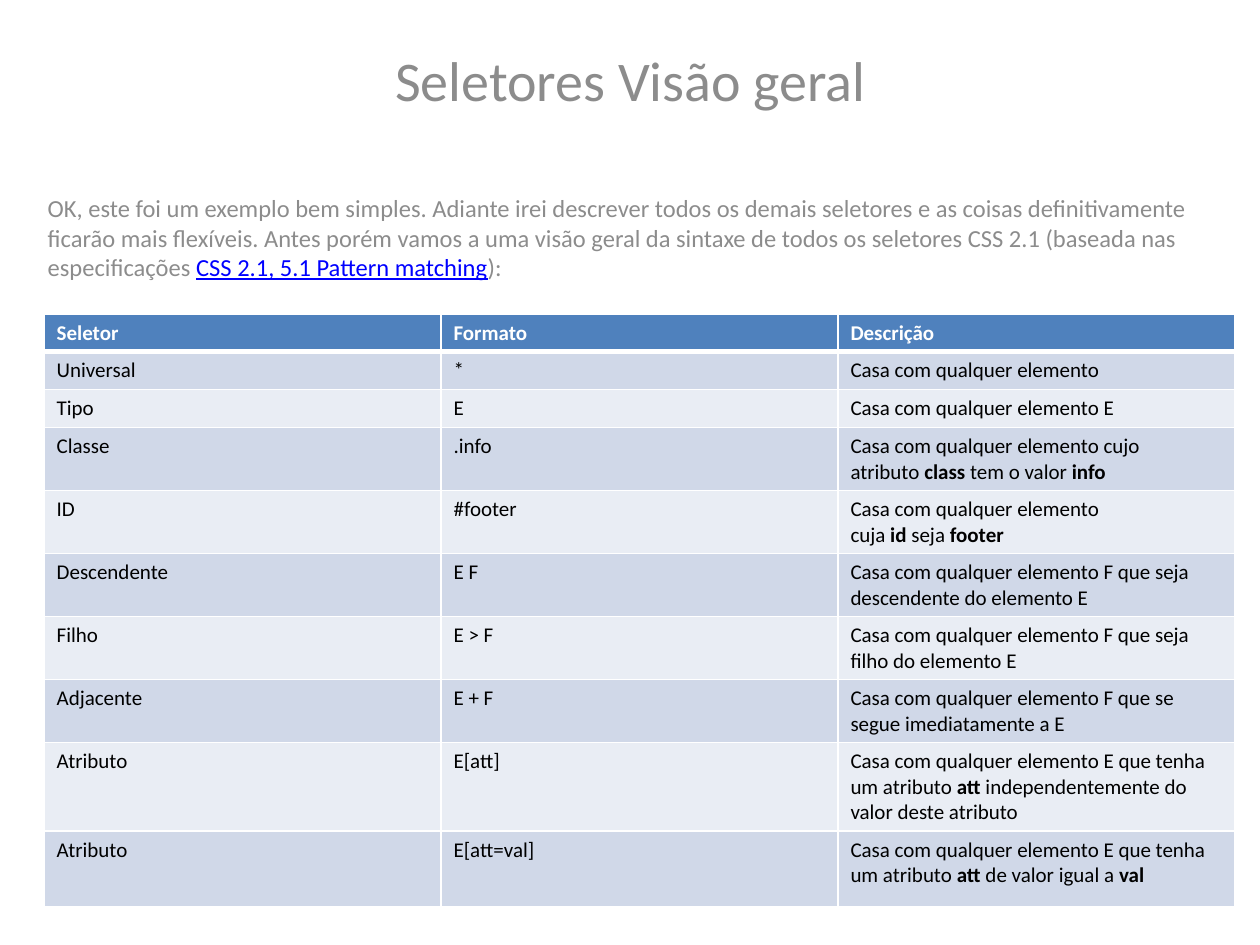
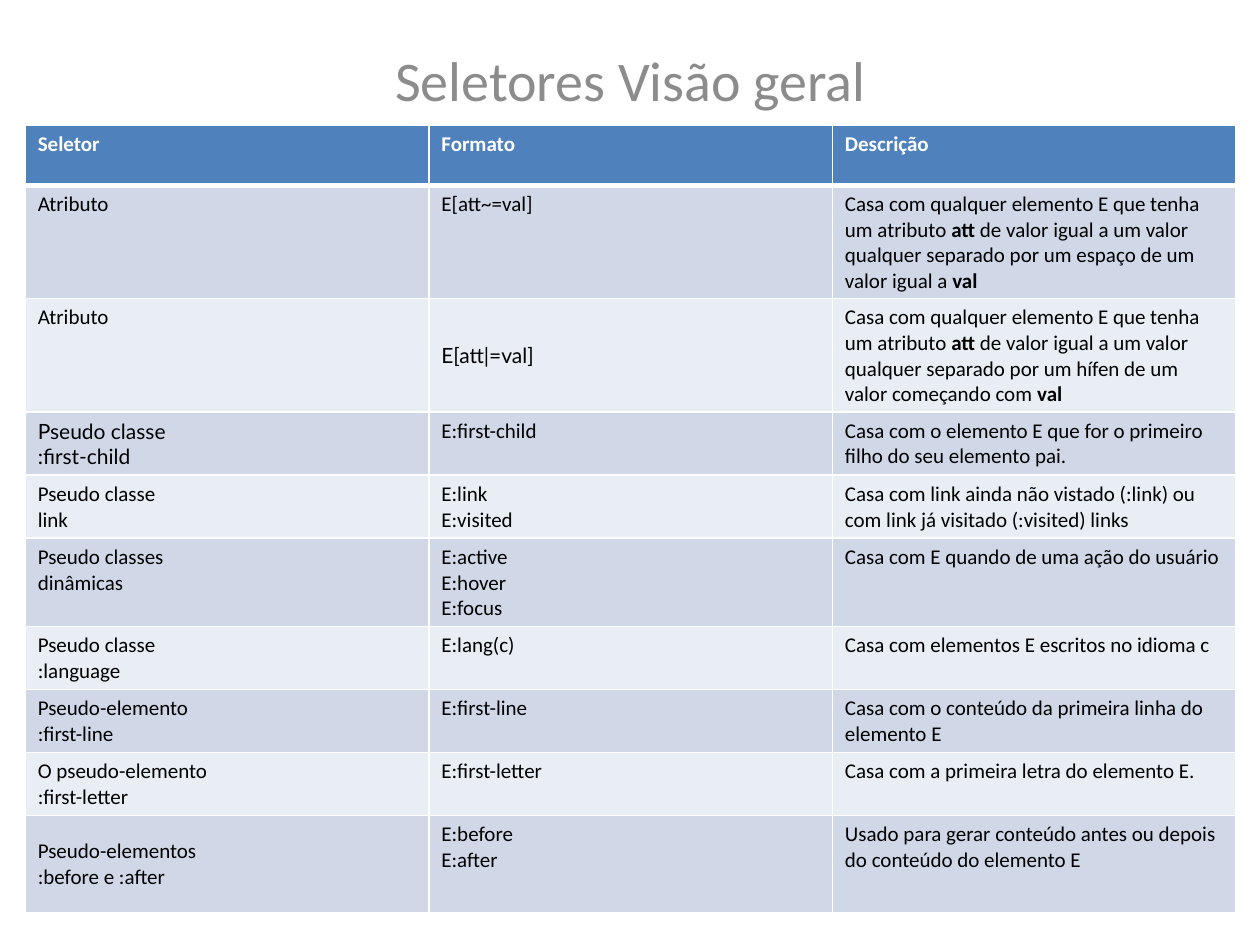
from itertools import product

from lxml import etree
from pptx import Presentation
from pptx import util as u
from pptx.dml import color
from pptx.enum import text
from pptx.oxml import ns

# ---- Content: **bold**, line breaks as \n ----
TITLE = "Seletores Visão geral"
INTRO = [
    ("OK, este foi um exemplo bem simples. Adiante irei descrever todos os demais "
     "seletores e as coisas definitivamente ficarão mais flexíveis. Antes porém vamos "
     "a uma visão geral da sintaxe de todos os seletores CSS 2.1 (baseada nas "
     "especificações ", "intro"),
    ("CSS 2.1, 5.1 Pattern matching", "link"),
    ("):", "intro"),
]
HEADER = ("Seletor", "Formato", "Descrição")
BASIC_SELECTORS = [
    ("Universal", "*", "Casa com qualquer elemento"),
    ("Tipo", "E", "Casa com qualquer elemento E"),
    ("Classe", ".info",
     "Casa com qualquer elemento cujo atributo **class** tem o valor **info**"),
    ("ID", "#footer", "Casa com qualquer elemento cuja **id** seja **footer**"),
    ("Descendente", "E F",
     "Casa com qualquer elemento F que seja descendente do elemento E"),
    ("Filho", "E > F", "Casa com qualquer elemento F que seja filho do elemento E"),
    ("Adjacente", "E + F", "Casa com qualquer elemento F que se segue imediatamente a E"),
    ("Atributo", "E[att]", "Casa com qualquer elemento E que tenha um atributo **att** "
     "independentemente do valor deste atributo"),
    ("Atributo", "E[att=val]", "Casa com qualquer elemento E que tenha um atributo **att** "
     "de valor igual a **val**"),
]
ADVANCED_SELECTORS = [
    ("Atributo", "E[att~=val]", "Casa com qualquer elemento E que tenha um atributo **att** "
     "de valor igual a um valor qualquer separado por um espaço de um valor igual a **val**"),
    ("Atributo", "E[att|=val]", "Casa com qualquer elemento E que tenha um atributo **att** "
     "de valor igual a um valor qualquer separado por um hífen de um valor começando "
     "com **val**"),
    ("Pseudo classe\n:first-child", "E:first-child",
     "Casa com o elemento E que for o primeiro filho do seu elemento pai."),
    ("Pseudo classe\nlink", "E:link\nE:visited",
     "Casa com link ainda não vistado (:link) ou com link já visitado (:visited) links"),
    ("Pseudo classes\ndinâmicas", "E:active\nE:hover\nE:focus",
     "Casa com E quando de uma ação do usuário"),
    ("Pseudo classe\n:language", "E:lang(c)", "Casa com elementos E escritos no idioma c"),
    ("Pseudo-elemento\n:first-line", "E:first-line",
     "Casa com o conteúdo da primeira linha do elemento E"),
    ("O pseudo-elemento\n:first-letter", "E:first-letter",
     "Casa com a primeira letra do elemento E."),
    ("Pseudo-elementos\n:before e :after", "E:before\nE:after",
     "Usado para gerar conteúdo antes ou depois do conteúdo do elemento E"),
]
# Per slide: intro, table rows, left, top, width, row heights,
# cells centred vertically and cells in the alternative font
SLIDES = [
    dict(intro=INTRO, rows=BASIC_SELECTORS, place=(0.35, 2.49, 9.45),
         heights=[0.28] * 3 + [0.47] * 5 + [0.66, 0.6],
         centred={(7, 2)}, alternative=set()),
    dict(intro=[], rows=ADVANCED_SELECTORS, place=(0.2, 0.99, 9.61),
         heights=[0.48, 0.87, 0.87, 0.48, 0.48, 0.67, 0.48, 0.48, 0.48, 0.77],
         centred={(2, 1), (3, 0), (9, 0)}, alternative={(2, 1), (3, 0)}),
]

# ---- Theme ----
THEME = {
    "title": dict(size=u.Pt(32), name="Calibri", color="8C8C8C"),
    "intro": dict(size=u.Pt(14), name="Calibri", color="8C8C8C"),
    "link": dict(size=u.Pt(14), name="Calibri", color="0000FF", underline=True),
    "header": dict(size=u.Pt(12), name="Calibri", color="FFFFFF", bold=True),
    "cell": dict(size=u.Pt(12), name="Calibri", color="000000", bold=False),
    "alternative": dict(size=u.Pt(12), name="Lato", color="000000", bold=False),
    "header_fill": "4F81BD",
    "bands": ("E9EDF4", "D0D8E8"),
    "border": "FFFFFF",
}
NBSP = chr(160)


def add_span(para, words, style, **changes):
    span = para.add_run()
    span.text = words
    for key, value in {**THEME[style], **changes}.items():
        if key == "color":
            span.font.color.rgb = color.RGBColor.from_string(value)
        else:
            setattr(span.font, key, value)


def add_rich_text(para, words, style):
    """Odd pieces between ** marks are bold, tied to neighbours by hard spaces."""
    words = words.replace(" **", NBSP + "**").replace("** ", "**" + NBSP)
    for index, piece in enumerate(words.split("**")):
        for number, line in enumerate(piece.split("\n")):
            if number:
                para.add_line_break()
            if line:
                add_span(para, line, style, **({"bold": True} if index % 2 else {}))


def set_borders(cell, widths):
    properties = cell._tc.get_or_add_tcPr()
    for side, width in widths.items():
        line = etree.SubElement(properties, ns.qn(f"a:ln{side}"), w=str(u.Pt(width)))
        fill = etree.SubElement(line, ns.qn("a:solidFill"))
        etree.SubElement(fill, ns.qn("a:srgbClr"), val=THEME["border"])


def add_heading(page, intro):
    box = page.shapes.add_textbox(*map(u.Inches, (0.28, 0.29, 9.45, 6.69)))
    frame = box.text_frame
    frame.word_wrap = True
    frame.margin_top = u.Inches(0.07)
    para = frame.paragraphs[0]
    para.alignment = text.PP_ALIGN.CENTER
    add_span(para, TITLE, "title")
    if intro:
        para = frame.add_paragraph()
        para.space_before = u.Pt(46)
        for words, style in intro:
            add_span(para, words, style)


def add_selector_table(page, rows, place, heights, centred, alternative):
    left, top, width = place
    content = [HEADER, *rows]
    table = page.shapes.add_table(
        len(content), len(HEADER),
        *map(u.Inches, (left, top, width, sum(heights)))).table
    for column in table.columns:
        column.width = u.Inches(width / len(HEADER))
    for row, height in zip(table.rows, heights):
        row.height = u.Inches(height)
    for spot in product(range(len(content)), range(len(HEADER))):
        row, column = spot
        cell = table.cell(row, column)
        # Heavier rule between the header and the first row
        set_borders(cell, {"L": 1, "R": 1, "T": 3 if row == 1 else 1,
                           "B": 3 if row == 0 else 1})
        cell.fill.solid()
        cell.fill.fore_color.rgb = color.RGBColor.from_string(
            THEME["bands"][row % 2] if row else THEME["header_fill"])
        if spot in centred:
            cell.vertical_anchor = text.MSO_ANCHOR.MIDDLE
        style = "header" if row == 0 else "alternative" if spot in alternative else "cell"
        add_rich_text(cell.text_frame.paragraphs[0], content[row][column], style)


def main():
    deck = Presentation()
    deck.slide_width, deck.slide_height = u.Inches(10), u.Inches(7.5)
    for slide in SLIDES:
        page = deck.slides.add_slide(deck.slide_layouts[6])
        add_heading(page, slide["intro"])
        add_selector_table(page, **{key: value for key, value in slide.items()
                                    if key != "intro"})
    deck.save("out.pptx")


if __name__ == "__main__":
    main()
